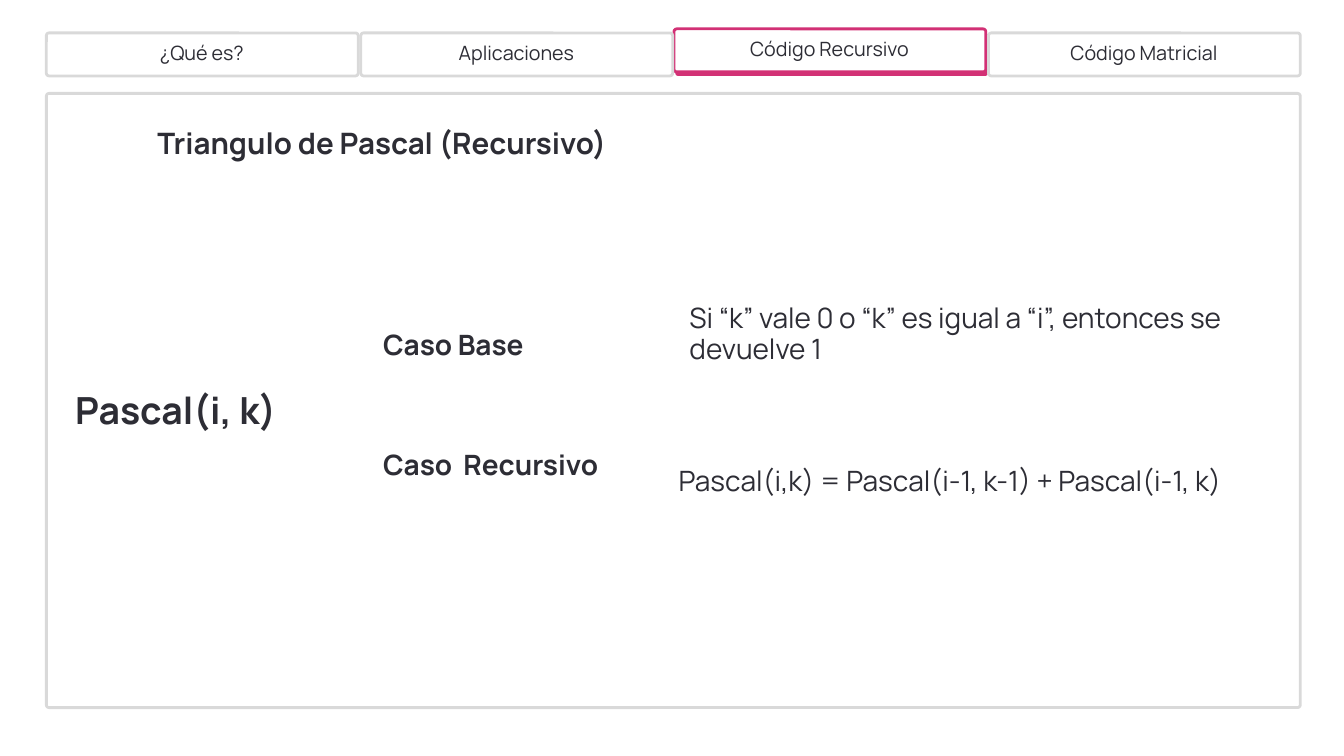
from dataclasses import dataclass

from pptx import Presentation
from pptx.dml.color import RGBColor
from pptx.enum.shapes import MSO_SHAPE
from pptx.enum.text import MSO_ANCHOR, MSO_AUTO_SIZE, PP_ALIGN
from pptx.util import Pt

ROUNDED = MSO_SHAPE.ROUNDED_RECTANGLE
TOP = MSO_ANCHOR.TOP
GROW = MSO_AUTO_SIZE.SHAPE_TO_FIT_TEXT
LEFT, CENTER = PP_ALIGN.LEFT, PP_ALIGN.CENTER

PX = 9144
SLIDE_W, SLIDE_H = 2000, 1125
TAB_W, TAB_H = 464, 64
LABEL_H, LABEL_DROP = 36, 14
CORNER = 4
PANEL = (69, 139, 1866, 914)
UNDERLINE = (1005, 49, 465, TAB_H)


@dataclass(frozen=True)
class Theme:
    font: str = "Manrope"
    ink: str = "2D2D35"
    paper: str = "FFFFFF"
    border: str = "D9D9D9"
    accent: str = "D23175"
    line: float = 3
    tab: float = 21.1
    title: float = 31.6
    body: float = 30
    formula: float = 40
    spacing: float = 1.14


THEME = Theme()

TABS = [
    ("Código Recursivo", 1003, 43, 397, THEME.accent),
    ("Aplicaciones", 537, 49, 397, THEME.border),
    ("¿Qué es?", 69, 49, 307, THEME.border),
    ("Código Matricial", 1471, 49, 397, THEME.border),
]

TITLE = ("Triangulo de Pascal (Recursivo)", (234, 189, 734, 54))

TEXTS = [
    ("Caso Base", (570, 490, 223, 50), THEME.body, True),
    ("Pascal(i, k)", (112, 580, 334, 68), THEME.formula, True),
    ("Caso  Recursivo", (570, 668, 340, 50), THEME.body, True),
    ("Si “k” vale 0 o “k” es igual a “i”, entonces se devuelve 1",
     (1026, 449, 812, 97), THEME.body, False),
    ("Pascal(i,k) = Pascal(i-1, k-1) + Pascal(i-1, k)",
     (1010, 693, 948, 50), THEME.body, False),
]


def emu(box):
    return [v * PX for v in box]


def add_card(slide, box, fill, line=None):
    sp = slide.shapes.add_shape(ROUNDED, *emu(box))
    sp.shadow.inherit = False
    sp.adjustments[0] = CORNER / min(box[2:])
    sp.fill.solid()
    sp.fill.fore_color.rgb = RGBColor.from_string(fill)
    if line:
        sp.line.color.rgb = RGBColor.from_string(line)
        sp.line.width = Pt(THEME.line)
    else:
        sp.line.fill.background()


def write(sp, text, size, bold=False, align=LEFT):
    tf = sp.text_frame
    tf.text = text
    tf.word_wrap = True
    tf.auto_size = GROW
    tf.vertical_anchor = TOP
    tf.margin_left = tf.margin_top = tf.margin_right = tf.margin_bottom = 0
    p = tf.paragraphs[0]
    p.alignment = align
    p.line_spacing = Pt(round(size * THEME.spacing, 1))
    for r in p.runs:
        r.font.name = THEME.font
        r.font.size = Pt(size)
        r.font.bold = bold
        r.font.color.rgb = RGBColor.from_string(THEME.ink)


def add_text(slide, text, box, size, bold=False, align=LEFT):
    write(slide.shapes.add_textbox(*emu(box)), text, size, bold, align)


def add_tab(slide, label, left, top, label_w, line):
    add_card(slide, (left, top, TAB_W, TAB_H), THEME.paper, line)
    box = (left + (TAB_W - label_w) // 2, top + LABEL_DROP, label_w, LABEL_H)
    add_text(slide, label, box, THEME.tab, align=CENTER)


def place_title(slide, text, box):
    sp = slide.shapes.title
    sp.left, sp.top, sp.width, sp.height = emu(box)
    write(sp, text, THEME.title, bold=True)
    slide.shapes._spTree.append(sp._element)


def main():
    prs = Presentation()
    prs.slide_width, prs.slide_height = emu((SLIDE_W, SLIDE_H))
    slide = prs.slides.add_slide(prs.slide_layouts[5])
    add_card(slide, UNDERLINE, THEME.accent)
    for tab in TABS:
        add_tab(slide, *tab)
    add_card(slide, PANEL, THEME.paper, THEME.border)
    place_title(slide, *TITLE)
    for text in TEXTS:
        add_text(slide, *text)
    prs.save("out.pptx")


if __name__ == "__main__":
    main()
